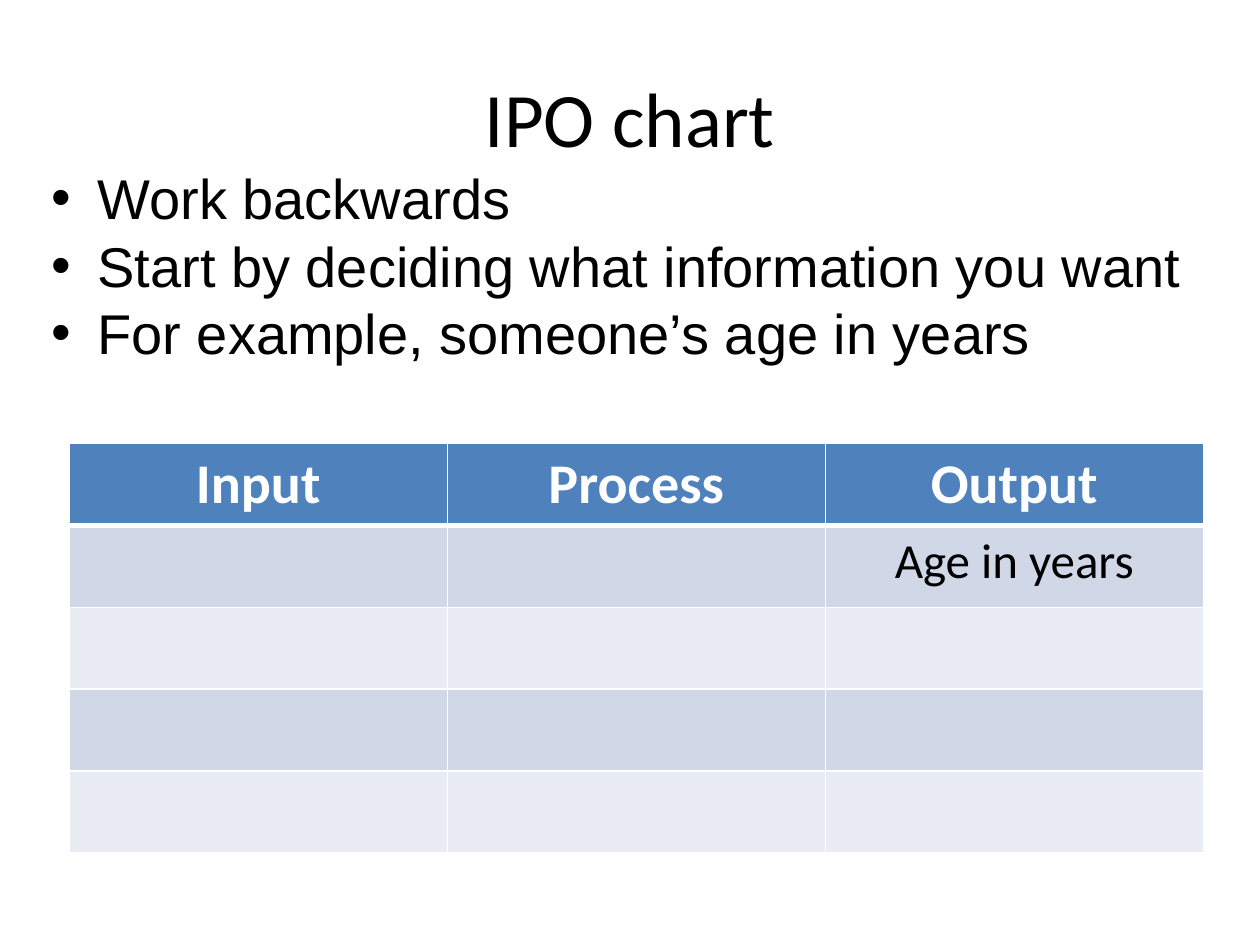
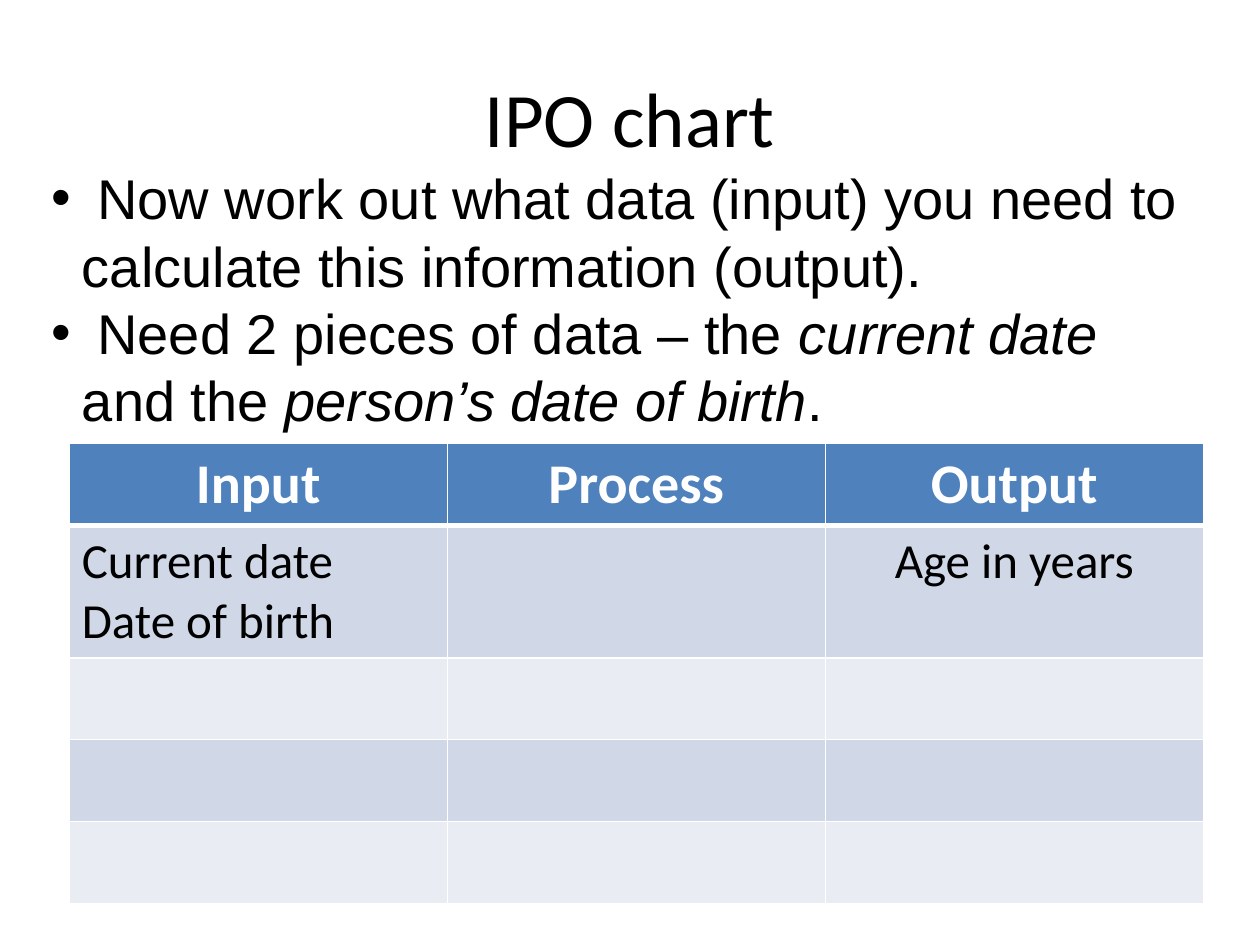
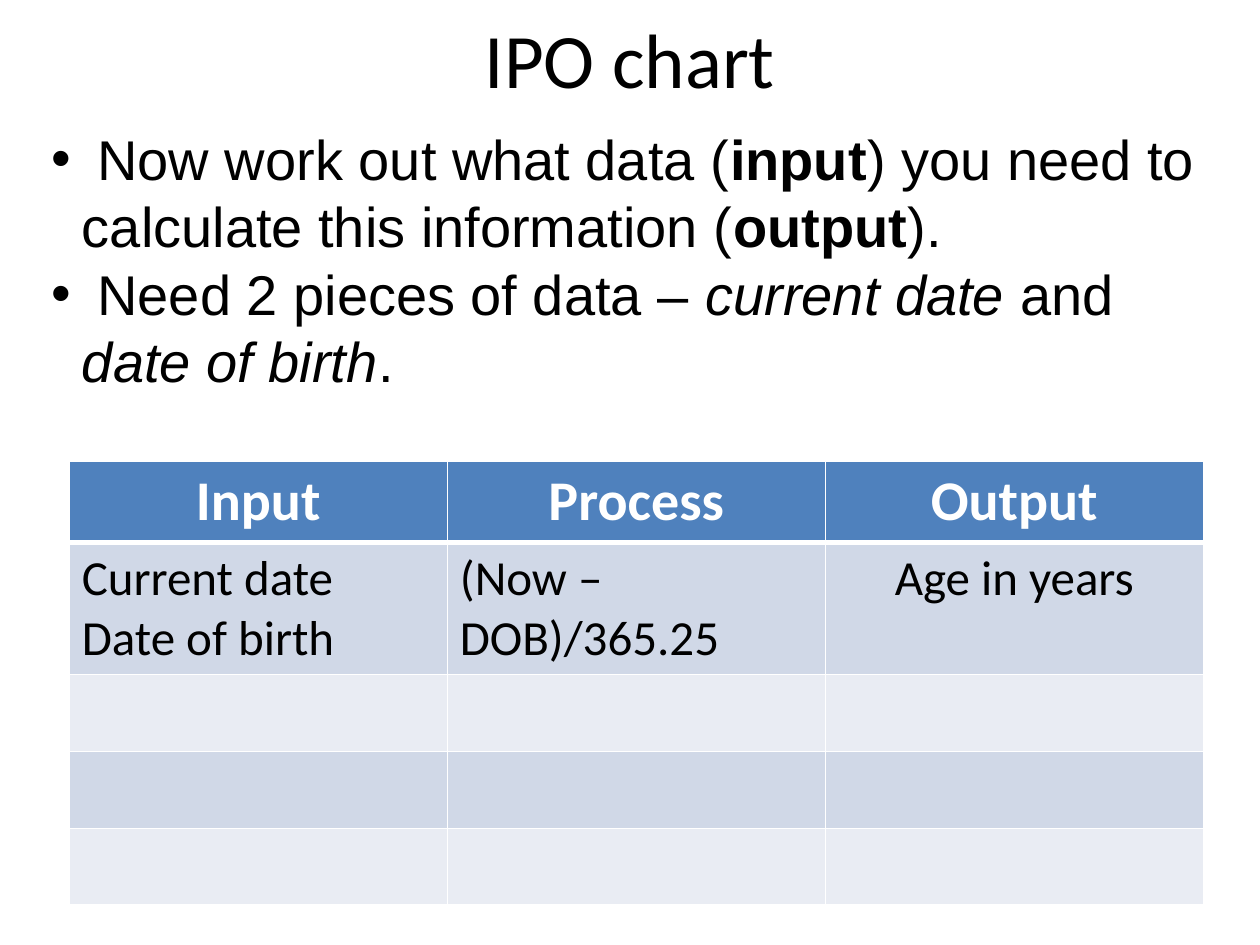
from lxml import etree
from pptx import Presentation
from pptx import util as u
from pptx.dml.color import RGBColor
from pptx.enum import text
from pptx.oxml.ns import qn

COLUMNS, ROWS = 100, 75
BLACK, WHITE, HEADER = "000000", "FFFFFF", "4F81BD"
BANDS = ("D0D8E7", "E9ECF3")
HEADINGS = ("Input", "Process", "Output")
BULLET_INDENT = u.Inches(0.24)
THIN, THICK = u.Pt(0.96), u.Pt(3)
CENTER, LEFT = text.PP_ALIGN.CENTER, text.PP_ALIGN.LEFT

TITLE_BOX = (5, 3, 90, 12.5)
DATES = "Current date\nDate of birth"
AGE = "Age in years"
SLIDES = [
    {
        "title_box": TITLE_BOX,
        "bullet_box": (3.1, 12.5, 93.7, 22.3),
        "bullets": [
            [(" Work backwards", "")],
            [(" Start by deciding what information you want", "")],
            [(" For example, someone’s age in years", "")],
        ],
        "table_box": (5.5, 35.2, 90),
        "row_heights": (6.5, 6.5, 6.5, 6.5, 6.5),
        "entries": ("", "", AGE),
    },
    {
        "title_box": TITLE_BOX,
        "bullet_box": (3.1, 12.5, 93.7, 27.6),
        "bullets": [
            [(" Now work out what data (input) you need to calculate this information (output).", "")],
            [(" Need 2 pieces of data – the ", ""), ("current date", "italic"), (" and the ", ""),
             ("person’s date of birth", "italic"), (".", "")],
        ],
        "table_box": (5.5, 35.2, 90),
        "row_heights": (6.5, 10.3, 6.5, 6.5, 6.5),
        "entries": (DATES, "", AGE),
    },
    {
        "title_box": (5, 1.3, 90, 6.6),
        "bullet_box": (3.1, 9.4, 93.7, 27.6),
        "bullets": [
            [(" Now work out what data (", ""), ("input", "bold"),
             (") you need to calculate this information (", ""), ("output", "bold"), (").", "")],
            [(" Need 2 pieces of data – ", ""), ("current date", "italic"), (" and ", ""),
             ("date of birth", "italic"), (".", "")],
        ],
        "table_box": (5.5, 36.6, 90),
        "row_heights": (6.3, 10.3, 6.1, 6.1, 6.1),
        "entries": (DATES, "(Now – DOB)/365.25", AGE),
    },
]


def color(value):
    """Turn a hex string into a colour."""
    return RGBColor.from_string(value)


def across(columns):
    """Length of a number of grid columns."""
    return u.Inches(10 * columns / COLUMNS)


def down(rows):
    """Length of a number of grid rows."""
    return u.Inches(7.5 * rows / ROWS)


def place(shape, box):
    """Move a placeholder to a grid box and keep its text size fixed."""
    left, top, width, height = box
    shape.left, shape.top = across(left), down(top)
    shape.width, shape.height = across(width), down(height)
    shape.text_frame.word_wrap = True
    shape.text_frame.auto_size = text.MSO_AUTO_SIZE.NONE


def style(paragraph, name, size, fill, bold=None):
    """Set the font of a whole paragraph."""
    font = paragraph.font
    font.name, font.size, font.bold = name, u.Pt(size), bold
    font.color.rgb = color(fill)


def add_title(slide, box):
    """Fill the title placeholder."""
    title = slide.shapes.title
    place(title, box)
    title.text_frame.text = "IPO chart"
    title.text_frame.vertical_anchor = text.MSO_ANCHOR.MIDDLE
    paragraph = title.text_frame.paragraphs[0]
    paragraph.alignment = CENTER
    style(paragraph, "Calibri", 44, BLACK)


def add_bullet(paragraph):
    """Give a paragraph a hanging round bullet."""
    properties = paragraph._p.get_or_add_pPr()
    properties.set("marL", str(BULLET_INDENT))
    properties.set("indent", str(-BULLET_INDENT))
    bullet_color = etree.SubElement(properties, qn("a:buClr"))
    etree.SubElement(bullet_color, qn("a:srgbClr"), val=BLACK)
    etree.SubElement(properties, qn("a:buFont"), typeface="Arial")
    etree.SubElement(properties, qn("a:buChar"), char="•")


def add_bullets(slide, box, bullets):
    """Fill the body placeholder with bulleted lines of styled runs."""
    body = slide.placeholders[1]
    place(body, box)
    frame = body.text_frame
    for index, pieces in enumerate(bullets):
        paragraph = frame.add_paragraph() if index else frame.paragraphs[0]
        add_bullet(paragraph)
        paragraph.space_before = u.Pt(0)
        style(paragraph, "Arial", 32, BLACK)
        for words, emphasis in pieces:
            run = paragraph.add_run()
            run.text = words
            if emphasis:
                setattr(run.font, emphasis, True)


def add_borders(cell, top, bottom):
    """Draw white borders around a cell."""
    properties = cell._tc.get_or_add_tcPr()
    for side, width in (("L", THIN), ("R", THIN), ("T", top), ("B", bottom)):
        line = etree.SubElement(properties, qn(f"a:ln{side}"), w=str(width))
        fill = etree.SubElement(line, qn("a:solidFill"))
        etree.SubElement(fill, qn("a:srgbClr"), val=WHITE)


def fill_cell(cell, words, row, alignment):
    """Format one cell by its row and write its words."""
    is_header = row == 0
    add_borders(cell, THICK if row == 1 else THIN, THICK if is_header else THIN)
    cell.fill.solid()
    cell.fill.fore_color.rgb = color(HEADER if is_header else BANDS[(row - 1) % 2])
    if not words:
        return
    cell.text_frame.text = words
    for paragraph in cell.text_frame.paragraphs:
        paragraph.alignment = alignment
        style(paragraph, "Calibri", 32 if is_header else 28, WHITE if is_header else BLACK, is_header)


def add_ipo_table(slide, box, row_heights, entries):
    """Add the input, process and output table."""
    left, top, width = box
    frame = slide.shapes.add_table(len(row_heights), len(HEADINGS), across(left), down(top),
                                   across(width), down(sum(row_heights)))
    table = frame.table
    contents = {0: HEADINGS, 1: entries}
    for row, height in enumerate(row_heights):
        table.rows[row].height = down(height)
        for column, heading in enumerate(HEADINGS):
            words = contents[row][column] if row in contents else ""
            centered = row == 0 or heading == "Output"
            fill_cell(table.cell(row, column), words, row, CENTER if centered else LEFT)


def add_ipo_slide(presentation, content):
    """Add one slide with title, bullets and table."""
    slide = presentation.slides.add_slide(presentation.slide_layouts[1])
    add_title(slide, content["title_box"])
    add_bullets(slide, content["bullet_box"], content["bullets"])
    add_ipo_table(slide, content["table_box"], content["row_heights"], content["entries"])


def main():
    """Build and save the presentation."""
    presentation = Presentation()
    presentation.slide_width, presentation.slide_height = across(COLUMNS), down(ROWS)
    for content in SLIDES:
        add_ipo_slide(presentation, content)
    presentation.save("out.pptx")


if __name__ == "__main__":
    main()
